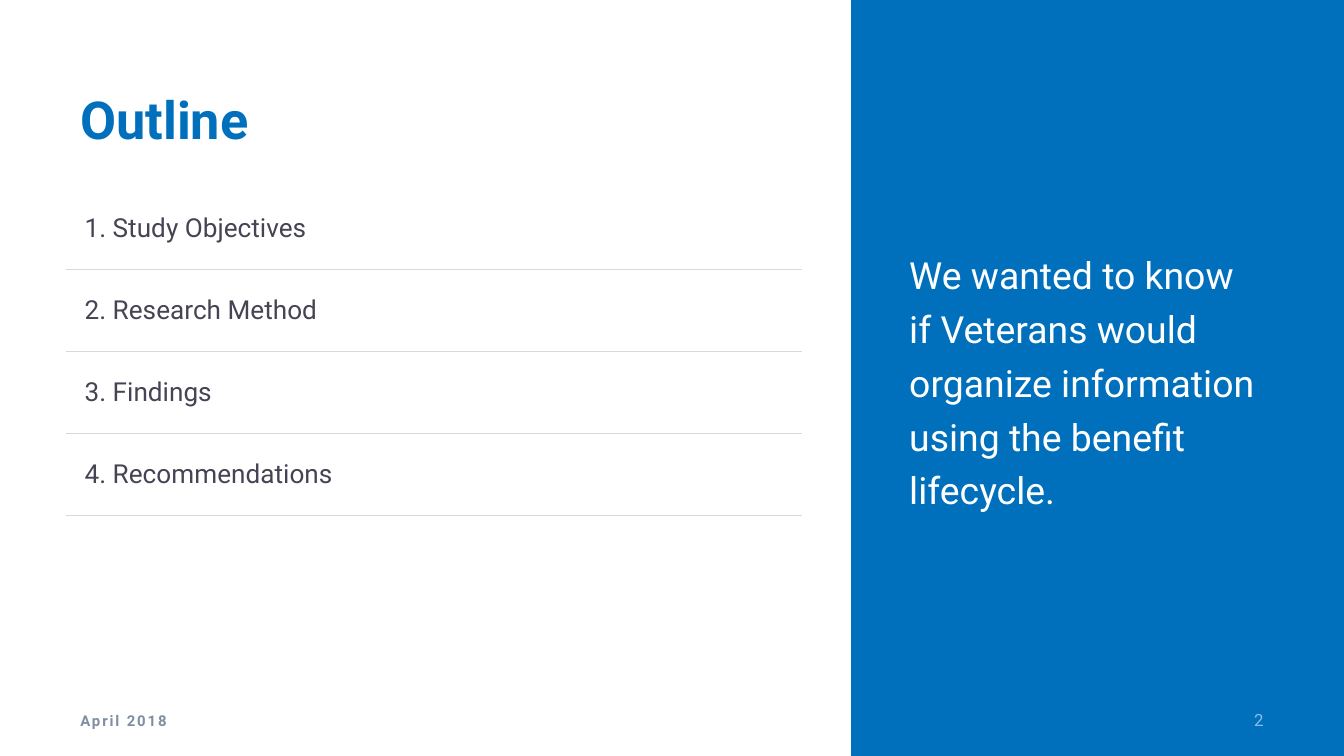
from lxml.etree import SubElement
from pptx import Presentation
from pptx.dml.color import RGBColor
from pptx.enum.shapes import MSO_SHAPE as Shape
from pptx.enum.text import MSO_ANCHOR as Anchor, PP_ALIGN as Align
from pptx.oxml.ns import qn
from pptx.util import Pt

BLUE, INK, RULE, WHITE = "0070BC", "454454", "D9D9D9", "FFFFFF"


def rgb(value):
    return RGBColor.from_string(value)


class Deck:
    """Holds the style and the current slide, and adds elements to it."""

    font = "Roboto"
    insets = {"margin_left": 7.2, "margin_right": 7.2,
              "margin_top": 6, "margin_bottom": 6}
    cell_insets = {"margin_left": 9.36, "margin_right": 9.36,
                   "margin_top": 3.6, "margin_bottom": 3.6}

    def __init__(self, width, height):
        self.prs = Presentation()
        self.prs.slide_width, self.prs.slide_height = Pt(width), Pt(height)
        self.s = self.prs.slides.add_slide(self.prs.slide_layouts[6])

    def add_run(self, p, text, size, color, bold=False, spacing=0, **fmt):
        for name, value in fmt.items():
            setattr(p, name, value)
        r = p.add_run()
        r.text = text
        for name, value in {"name": self.font, "size": Pt(size), "bold": bold}.items():
            setattr(r.font, name, value)
        r.font.color.rgb = rgb(color)
        if spacing:
            r._r.get_or_add_rPr().set("spc", str(spacing * 100))

    def panel(self, box, color):
        sp = self.s.shapes.add_shape(Shape.RECTANGLE, *map(Pt, box))
        sp.shadow.inherit = False
        sp.fill.solid()
        sp.fill.fore_color.rgb = rgb(color)
        sp.line.fill.background()

    def text(self, box, text, size, color, anchor=Anchor.MIDDLE, **fmt):
        tf = self.s.shapes.add_textbox(*map(Pt, box)).text_frame
        tf.word_wrap, tf.vertical_anchor = True, anchor
        for name, value in self.insets.items():
            setattr(tf, name, Pt(value))
        self.add_run(tf.paragraphs[0], text, size, color, **fmt)

    def borders(self, cell, top):
        tc_pr = cell._tc.get_or_add_tcPr()
        for side, color in {"L": WHITE, "R": WHITE, "T": top, "B": RULE}.items():
            ln = SubElement(tc_pr, qn(f"a:ln{side}"), w=str(Pt(1)))
            fill = SubElement(ln, qn("a:solidFill"))
            SubElement(fill, qn("a:srgbClr"), val=color)

    def table(self, left, top, widths, row_height, items, size, color):
        height = row_height * len(items)
        table = self.s.shapes.add_table(len(items), len(widths), Pt(left), Pt(top),
                                        Pt(sum(widths)), Pt(height)).table
        table.first_row = table.horz_banding = False
        for col, width in zip(table.columns, widths):
            col.width = Pt(width)
        for i, (row, item) in enumerate(zip(table.rows, items)):
            row.height = Pt(row_height)
            for cell in row.cells:
                self.borders(cell, RULE if i else WHITE)
                cell.fill.background()
                cell.vertical_anchor = Anchor.MIDDLE
                for name, value in self.cell_insets.items():
                    setattr(cell, name, Pt(value))
            self.add_run(row.cells[0].text_frame.paragraphs[0], item, size, color)


def main():
    deck = Deck(720, 405)
    deck.panel((456, 0, 264, 405), BLUE)
    deck.text((36, 40.5, 393, 51), "Outline", 28, BLUE, Anchor.TOP, bold=True)
    topics = ["Study Objectives", "Research Method", "Findings", "Recommendations"]
    items = [f"{n}. {topic}" for n, topic in enumerate(topics, 1)]
    deck.table(36, 100.5, (316, 77.5), 43.95, items, 14, INK)
    deck.text((480, 40.5, 204, 324),
              "We wanted to know if Veterans would organize information "
              "using the benefit lifecycle.",
              20, WHITE, line_spacing=1.2, space_after=Pt(6))
    deck.text((630, 375, 54, 21.6), "2", 9, "89BDE8", alignment=Align.RIGHT)
    deck.text((36, 375, 162, 21.6), "April 2018", 8, "7F8EA3", bold=True, spacing=1)
    deck.prs.save("out.pptx")


if __name__ == "__main__":
    main()
